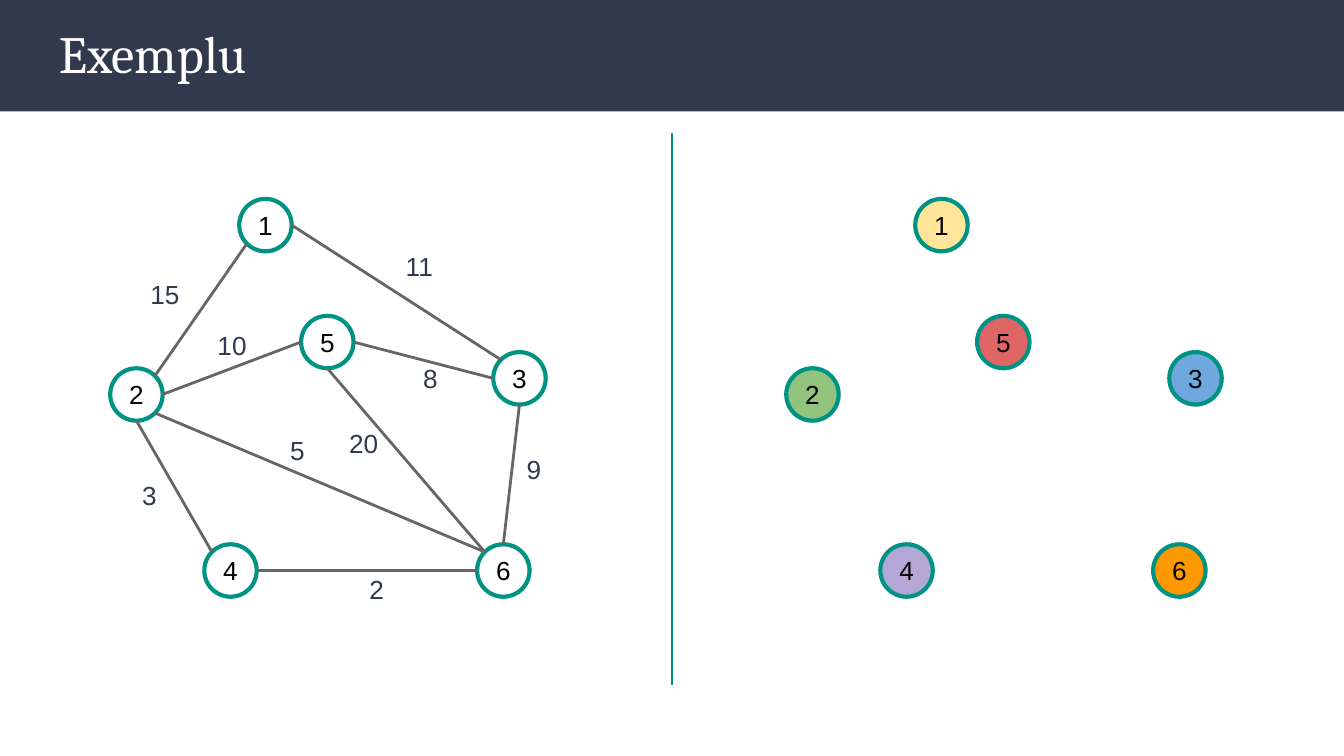
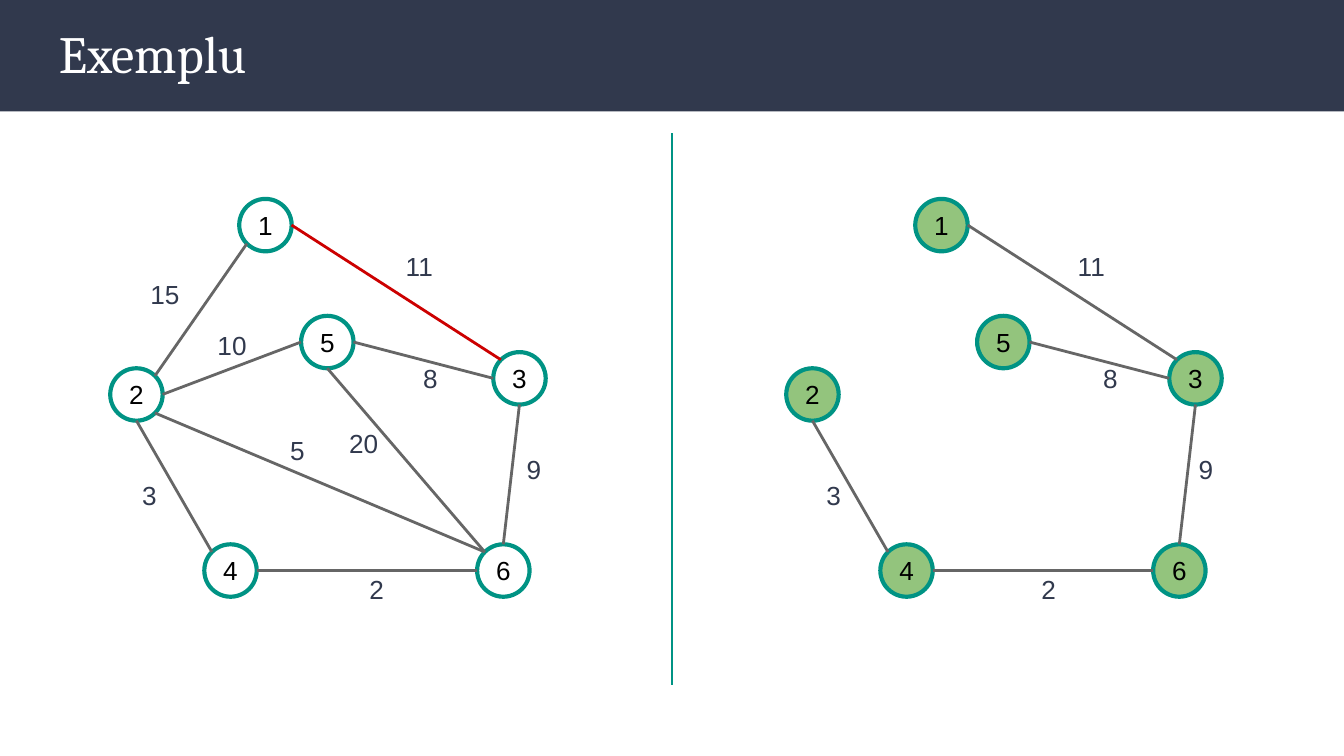
from math import cos, radians, sin

from lxml import etree
from pptx import Presentation
from pptx.dml.color import RGBColor
from pptx.enum.shapes import MSO_CONNECTOR, MSO_SHAPE
from pptx.enum.text import MSO_ANCHOR, MSO_AUTO_SIZE, PP_ALIGN
from pptx.oxml.ns import qn
from pptx.util import Inches, Pt

STRAIGHT = MSO_CONNECTOR.STRAIGHT
OVAL, RECTANGLE = MSO_SHAPE.OVAL, MSO_SHAPE.RECTANGLE
MIDDLE, TOP = MSO_ANCHOR.MIDDLE, MSO_ANCHOR.TOP
CENTER, LEFT = PP_ALIGN.CENTER, PP_ALIGN.LEFT
GROW, FIXED = MSO_AUTO_SIZE.SHAPE_TO_FIT_TEXT, MSO_AUTO_SIZE.NONE

NAVY = RGBColor(0x31, 0x39, 0x4D)
TEAL = RGBColor(0x00, 0x93, 0x84)
GRAY = RGBColor(0x66, 0x66, 0x66)
RED = RGBColor(0xCC, 0x00, 0x00)
WHITE = RGBColor(0xFF, 0xFF, 0xFF)
BLACK = RGBColor(0x00, 0x00, 0x00)
YELLOW = RGBColor(0xFF, 0xE5, 0x99)
GREEN = RGBColor(0x93, 0xC4, 0x7D)
BLUE = RGBColor(0x6F, 0xA8, 0xDC)
PURPLE = RGBColor(0xB4, 0xA7, 0xD6)
CORAL = RGBColor(0xE0, 0x66, 0x66)
ORANGE = RGBColor(0xFF, 0x99, 0x00)

TITLE = "Exemplu"
TITLE_STYLE = {"name": "Cambria", "size": Pt(28), "color": WHITE}
NODE_STYLE = {"name": "Arial", "size": Pt(14), "color": BLACK}
WEIGHT_STYLE = {"name": "Arial", "size": Pt(14), "color": NAVY}

SLIDE_WIDTH = Inches(10)
SLIDE_HEIGHT = SLIDE_WIDTH * 9 // 16
DIAMETER = 0.39
TREE_SHIFT = 5.03
WEIGHT_SHIFT = 5
WEIGHT_SIZE = (0.47, 0.44)

NODES = {1: (1.78, 1.48), 2: (0.82, 2.74), 5: (2.24, 2.35),
         6: (3.55, 4.05), 4: (1.52, 4.05), 3: (3.67, 2.62)}

ANGLES = {"E": 0, "SE": 45, "S": 90, "SW": 135,
          "W": 180, "NW": 225, "N": 270, "NE": 315}

EDGES = {
    (1, 2): ("SW", "NE", 15, (1.02, 1.97)),
    (1, 3): ("E", "NW", 11, (2.92, 1.76)),
    (2, 5): ("E", "W", 10, (1.52, 2.35)),
    (5, 3): ("E", "W", 8, (3.05, 2.6)),
    (2, 4): ("S", "NW", 3, (0.96, 3.47)),
    (2, 6): ("SE", "NW", 5, (2.06, 3.13)),
    (4, 6): ("E", "W", 2, (2.65, 4.17)),
    (5, 6): ("S", "NW", 20, (2.5, 3.08)),
    (3, 6): ("S", "N", 9, (3.82, 3.27)),
}

TREE_WEIGHT_NUDGES = {(2, 4): 0.09, (5, 3): 0.06}

STEPS = [
    {"fills": {1: YELLOW, 2: GREEN, 3: BLUE, 4: PURPLE, 5: CORAL, 6: ORANGE},
     "tree": [], "current": None},
    {"fills": dict.fromkeys(NODES, GREEN),
     "tree": [(4, 6), (2, 4), (5, 3), (3, 6), (1, 3)], "current": (1, 3)},
]


def write(shape, text, style, inset, anchor=TOP, align=LEFT, fit=FIXED):
    frame = shape.text_frame
    layout = {"word_wrap": True, "auto_size": fit, "vertical_anchor": anchor}
    layout.update({f"margin_{side}": Inches(inset)
                   for side in ("left", "top", "right", "bottom")})
    for key, value in layout.items():
        setattr(frame, key, value)
    paragraph = frame.paragraphs[0]
    paragraph.alignment = align
    run = paragraph.add_run()
    run.text = text
    for key, value in style.items():
        if key == "color":
            run.font.color.rgb = value
        else:
            setattr(run.font, key, value)


def add_line(shapes, start, end, color):
    line = shapes.add_connector(STRAIGHT, *map(Inches, (*start, *end)))
    line.line.color.rgb = color
    line.line.width = Pt(1.5)
    etree.SubElement(line._element.spPr, qn("a:effectLst"))


def add_node(shapes, label, shift, fill):
    x, y = NODES[label]
    node = shapes.add_shape(
        OVAL, *map(Inches, (x + shift, y, DIAMETER, DIAMETER)))
    node.shadow.inherit = False
    if fill is None:
        node.fill.background()
    else:
        node.fill.solid()
        node.fill.fore_color.rgb = fill
    node.line.color.rgb = TEAL
    node.line.width = Pt(2.25)
    write(node, str(label), NODE_STYLE, 0.02, MIDDLE, CENTER)


def rim_point(label, side, shift):
    x, y = NODES[label]
    radius, angle = DIAMETER / 2, radians(ANGLES[side])
    return (x + shift + radius * (1 + cos(angle)),
            y + radius * (1 + sin(angle)))


def add_graph(slide, edges, fills, current=None, shift=0, weight_shift=0,
              nudges={}):
    shapes = slide.shapes.add_group_shape().shapes
    for label in NODES:
        add_node(shapes, label, shift, fills.get(label))
    for edge in edges:
        leave, arrive, _, _ = EDGES[edge]
        add_line(shapes, rim_point(edge[0], leave, shift),
                 rim_point(edge[1], arrive, shift),
                 RED if edge == current else GRAY)
    for edge in edges:
        _, _, weight, (x, y) = EDGES[edge]
        left = x + weight_shift + nudges.get(edge, 0)
        box = shapes.add_textbox(*map(Inches, (left, y, *WEIGHT_SIZE)))
        write(box, str(weight), WEIGHT_STYLE, 0.1, fit=GROW)


def add_frame(slide):
    band = slide.shapes.add_shape(
        RECTANGLE, *map(Inches, (0, 0, 10, 0.83)))
    band.shadow.inherit = False
    band.fill.solid()
    band.fill.fore_color.rgb = NAVY
    band.line.fill.background()
    title = slide.shapes.add_textbox(*map(Inches, (0.34, 0.06, 9.32, 0.68)))
    write(title, TITLE, TITLE_STYLE, 0.1)
    add_line(slide.shapes, (5, 0.99), (5, 5.1), TEAL)


def main():
    deck = Presentation()
    deck.slide_width, deck.slide_height = SLIDE_WIDTH, SLIDE_HEIGHT
    for step in STEPS:
        slide = deck.slides.add_slide(deck.slide_layouts[6])
        add_frame(slide)
        add_graph(slide, step["tree"], step["fills"], shift=TREE_SHIFT,
                  weight_shift=WEIGHT_SHIFT, nudges=TREE_WEIGHT_NUDGES)
        add_graph(slide, EDGES, {}, step["current"])
    deck.save("out.pptx")


if __name__ == "__main__":
    main()
